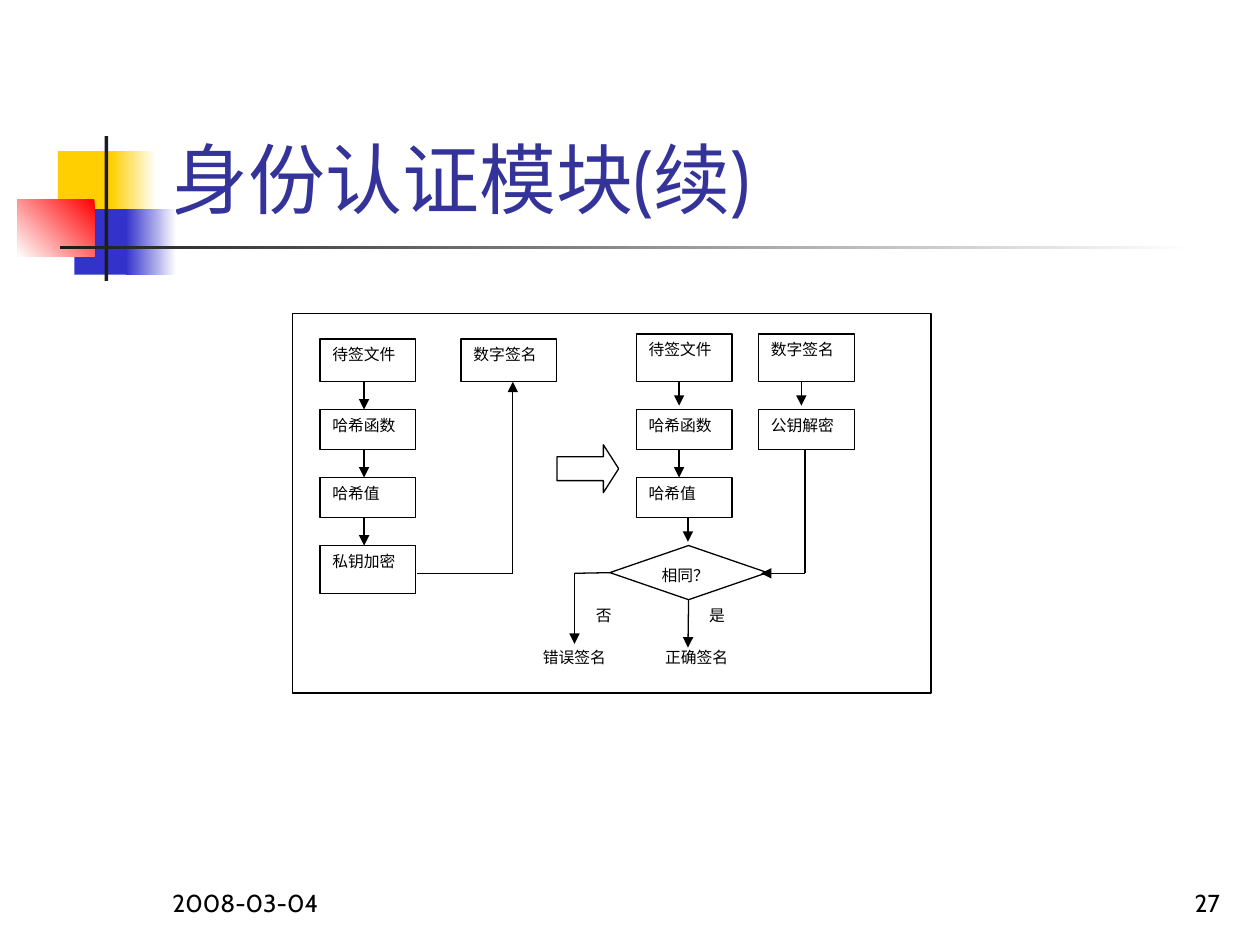
from typing import NamedTuple, Optional

from lxml import etree
from pptx import Presentation
from pptx.dml.color import RGBColor
from pptx.enum.shapes import MSO_CONNECTOR, MSO_SHAPE
from pptx.enum.text import MSO_ANCHOR, MSO_AUTO_SIZE, PP_ALIGN
from pptx.oxml.ns import qn
from pptx.util import Inches, Pt

RECTANGLE = MSO_SHAPE.RECTANGLE
DIAMOND = MSO_SHAPE.DIAMOND
RIGHT_ARROW = MSO_SHAPE.RIGHT_ARROW
STRAIGHT = MSO_CONNECTOR.STRAIGHT
LEFT, RIGHT, JUSTIFY = PP_ALIGN.LEFT, PP_ALIGN.RIGHT, PP_ALIGN.JUSTIFY
TOP, BOTTOM = MSO_ANCHOR.TOP, MSO_ANCHOR.BOTTOM

BLACK, WHITE = "000000", "FFFFFF"
YELLOW, BLUE, RED, DARK = "FFCF01", "3333CC", "FF0000", "1C1C1C"
TITLE_COLOR = "333399"
HEADING_FONT, DIAGRAM_FONT = "Cabin", "Times New Roman"
LINE_WIDTH = 0.75

BOX_WIDTH = 0.76
SIGN_X, SIGNATURE_X, VERIFY_X, DECRYPT_X = 2.54, 3.66, 5.05, 6.02
HASH_Y, VALUE_Y, DECISION_Y = 3.25, 3.79, 4.33
HASH_BOTTOM, VALUE_BOTTOM, FIRST_BOTTOM = 3.57, 4.11, 3.03
BRANCH_Y = 4.55


class Area(NamedTuple):
    left: float
    top: float
    width: float
    height: float


class Decoration(NamedTuple):
    area: Area
    colors: tuple
    angle: float = 180


class Node(NamedTuple):
    text: str
    area: Area
    outlined: bool = True
    preset: int = RECTANGLE


class Link(NamedTuple):
    start: tuple
    end: tuple
    arrow: bool = True
    decision_site: Optional[int] = None


DECORATIONS = [
    Decoration(Area(0.46, 1.2, 0.48, 0.52), (YELLOW,)),
    Decoration(Area(0.88, 1.2, 0.36, 0.52), (WHITE, YELLOW)),
    Decoration(Area(0.59, 1.66, 0.46, 0.52), (BLUE,)),
    Decoration(Area(1, 1.66, 0.4, 0.52), (WHITE, BLUE)),
    Decoration(Area(0.14, 1.58, 0.61, 0.46), (RED, WHITE), 225),
    Decoration(Area(0.83, 1.08, 0.03, 1.15), (DARK,)),
    Decoration(Area(0.48, 1.95, 9, 0.03), (WHITE, DARK)),
]

NODES = [
    Node("待签文件", Area(SIGN_X, 2.69, BOX_WIDTH, 0.34)),
    Node("哈希函数", Area(SIGN_X, HASH_Y, BOX_WIDTH, 0.32)),
    Node("哈希值", Area(SIGN_X, VALUE_Y, BOX_WIDTH, 0.32)),
    Node("私钥加密", Area(SIGN_X, DECISION_Y, BOX_WIDTH, 0.38)),
    Node("数字签名", Area(SIGNATURE_X, 2.69, BOX_WIDTH, 0.34)),
    Node("待签文件", Area(VERIFY_X, 2.65, BOX_WIDTH, 0.38)),
    Node("哈希函数", Area(VERIFY_X, HASH_Y, BOX_WIDTH, 0.32)),
    Node("哈希值", Area(VERIFY_X, VALUE_Y, BOX_WIDTH, 0.32)),
    Node("数字签名", Area(DECRYPT_X, 2.65, BOX_WIDTH, 0.38)),
    Node("公钥解密", Area(DECRYPT_X, HASH_Y, BOX_WIDTH, 0.32)),
    Node("错误签名", Area(4.21, 5.09, BOX_WIDTH, 0.38), outlined=False),
    Node("正确签名", Area(5.18, 5.09, BOX_WIDTH, 0.38), outlined=False),
    Node("否", Area(4.63, 4.76, 0.35, 0.38), outlined=False),
    Node("是", Area(5.53, 4.76, 0.35, 0.38), outlined=False),
]
DECISION = Node("相同？", Area(4.84, DECISION_Y, 1.25, 0.43), preset=DIAMOND)

LINKS = [
    Link((2.89, FIRST_BOTTOM), (2.89, HASH_Y)),
    Link((2.89, HASH_BOTTOM), (2.89, VALUE_Y)),
    Link((2.89, VALUE_BOTTOM), (2.89, DECISION_Y)),
    Link((3.31, BRANCH_Y), (4.07, BRANCH_Y), arrow=False),
    Link((4.07, BRANCH_Y), (4.07, FIRST_BOTTOM)),
    Link((5.39, FIRST_BOTTOM), (5.39, 3.22)),
    Link((5.39, HASH_BOTTOM), (5.39, VALUE_Y)),
    Link((5.46, VALUE_BOTTOM), (5.46, 4.3)),
    Link((6.36, FIRST_BOTTOM), (6.36, 3.22)),
    Link((6.39, HASH_BOTTOM), (6.39, BRANCH_Y), arrow=False),
    Link((6.39, BRANCH_Y), (6.04, BRANCH_Y)),
    Link((5.46, 4.76), (5.46, 5.14), decision_site=2),
    Link((4.84, BRANCH_Y), (4.56, BRANCH_Y), arrow=False, decision_site=1),
    Link((4.56, BRANCH_Y), (4.56, 5.11)),
]


def rgb(value: str) -> RGBColor:
    return RGBColor.from_string(value)


def inches(values) -> list:
    return [Inches(value) for value in values]


def add_plain_shape(slide, preset, area: Area, outlined: bool = True):
    """Add a white shape without shadow, with a thin black outline if wanted."""
    shape = slide.shapes.add_shape(preset, *inches(area))
    shape.shadow.inherit = False
    shape.fill.solid()
    shape.fill.fore_color.rgb = rgb(WHITE)
    if outlined:
        shape.line.color.rgb = rgb(BLACK)
        shape.line.width = Pt(LINE_WIDTH)
    else:
        shape.line.fill.background()
    return shape


def add_decoration(slide, decoration: Decoration) -> None:
    shape = add_plain_shape(slide, RECTANGLE, decoration.area, outlined=False)
    if len(decoration.colors) == 1:
        shape.fill.fore_color.rgb = rgb(decoration.colors[0])
        return
    shape.fill.gradient()
    shape.fill.gradient_angle = decoration.angle
    for stop, color in zip(shape.fill.gradient_stops, decoration.colors):
        stop.color.rgb = rgb(color)


def write_text(shape, text: str, font: str, size: float, color: str = BLACK,
               alignment=LEFT, anchor=BOTTOM) -> None:
    frame = shape.text_frame
    frame.text = text
    frame.word_wrap = True
    frame.auto_size = MSO_AUTO_SIZE.NONE
    frame.vertical_anchor = anchor
    paragraph = frame.paragraphs[0]
    paragraph.alignment = alignment
    run_font = paragraph.runs[0].font
    run_font.name = font
    run_font.size = Pt(size)
    run_font.color.rgb = rgb(color)


def add_node(slide, node: Node):
    shape = add_plain_shape(slide, node.preset, node.area, node.outlined)
    write_text(shape, node.text, DIAGRAM_FONT, 9, alignment=JUSTIFY, anchor=TOP)
    return shape


def add_link(slide, link: Link, decision) -> None:
    connector = slide.shapes.add_connector(STRAIGHT, *inches(link.start + link.end))
    if link.decision_site is not None:
        connector.begin_connect(decision, link.decision_site)
    connector.line.color.rgb = rgb(BLACK)
    connector.line.width = Pt(LINE_WIDTH)
    properties = connector.line._get_or_add_ln()
    if link.arrow:
        etree.SubElement(properties, qn("a:tailEnd"), type="triangle")
    etree.SubElement(properties.getparent(), qn("a:effectLst"))


def add_title(slide, text: str) -> None:
    title = slide.shapes.title
    title.left, title.top, title.width, title.height = inches((1.26, 0.23, 8.52, 1.6))
    write_text(title, text, HEADING_FONT, 44, TITLE_COLOR)


def add_footer(slide, text: str, left: float, alignment) -> None:
    box = slide.shapes.add_textbox(*inches((left, 6.83, 2.08, 0.5)))
    write_text(box, text, HEADING_FONT, 14, alignment=alignment)


def main() -> None:
    presentation = Presentation()
    presentation.slide_width, presentation.slide_height = Inches(10), Inches(7.5)
    slide = presentation.slides.add_slide(presentation.slide_layouts[5])

    for decoration in DECORATIONS:
        add_decoration(slide, decoration)
    add_title(slide, "身份认证模块(续)")

    add_plain_shape(slide, RECTANGLE, Area(2.32, 2.49, 5.07, 3.01))
    for node in NODES:
        add_node(slide, node)
    decision = add_node(slide, DECISION)
    stage_arrow = add_plain_shape(slide, RIGHT_ARROW, Area(4.42, 3.53, 0.49, 0.38))
    stage_arrow.adjustments[1] = 0.32
    for link in LINKS:
        add_link(slide, link, decision)

    add_footer(slide, "27", 7.7, RIGHT)
    add_footer(slide, "2008-03-04", 1.27, LEFT)
    presentation.save("out.pptx")


if __name__ == "__main__":
    main()
